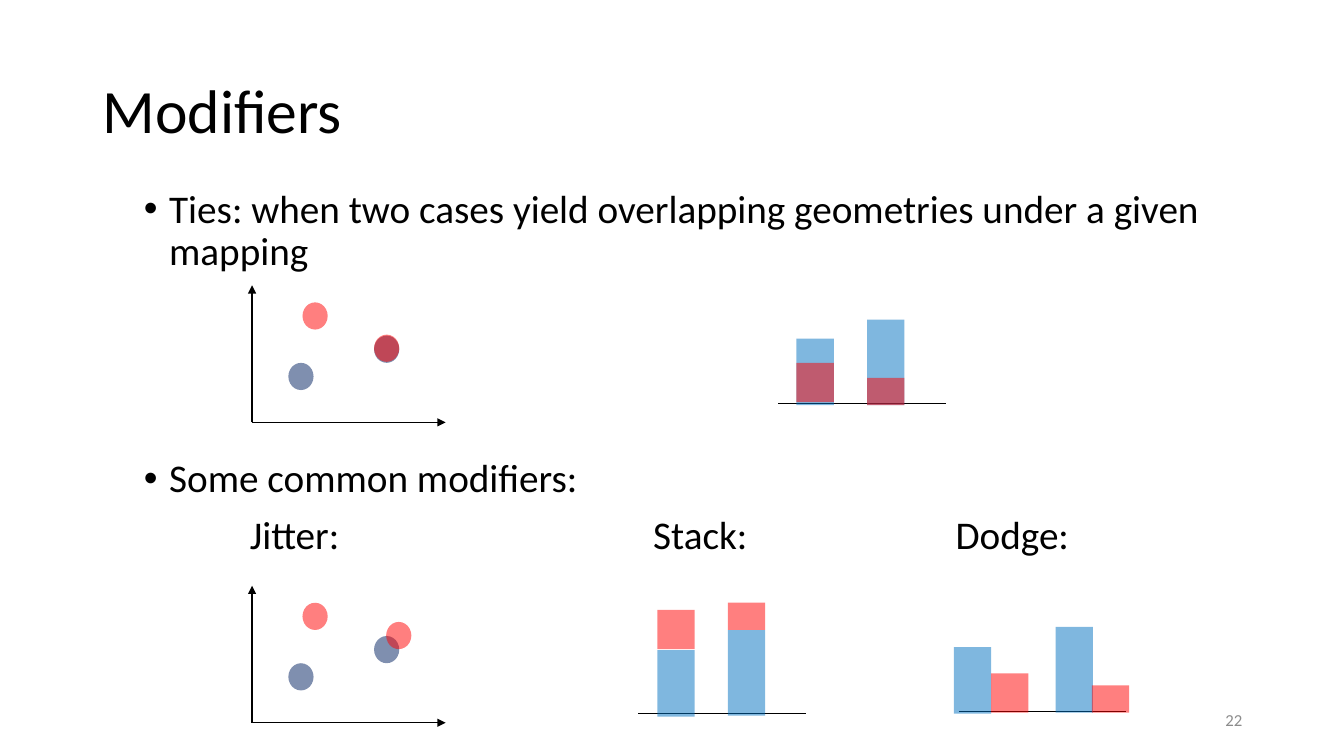
"""Build the "Modifiers" slide: ties between cases, then jitter, stack and dodge."""
from lxml.etree import SubElement
from pptx import Presentation
from pptx.dml.color import RGBColor
from pptx.enum.shapes import MSO_CONNECTOR as Connector, MSO_SHAPE as Shape
from pptx.enum.text import MSO_ANCHOR as Anchor, PP_ALIGN as Align
from pptx.oxml.ns import qn
from pptx.util import Inches, Pt

BLACK, GRAY, NAVY, BLUE, RED = "000000", "8C8C8C", "002060", "0070C0", "FF0000"


def paint(fill, color):
    fill.solid()
    fill.fore_color.rgb = RGBColor.from_string(color)


def write(frame, text, size=28, color=BLACK, align=Align.LEFT, before=0, bullet=False, tabs=()):
    frame.word_wrap = True
    paragraph = frame.paragraphs[0] if not frame.text else frame.add_paragraph()
    paragraph.alignment = align
    paragraph.line_spacing = 0.9
    if before:
        paragraph.space_before = Pt(before)
    properties = paragraph._p.get_or_add_pPr()
    if bullet:
        properties.set("marL", str(Inches(0.25)))
        properties.set("indent", str(Inches(-0.25)))
        SubElement(properties, qn("a:buFont"), typeface="Arial")
        SubElement(properties, qn("a:buChar"), char="•")
    if tabs:
        stops = SubElement(properties, qn("a:tabLst"))
        for stop in tabs:
            SubElement(stops, qn("a:tab"), pos=str(Inches(stop)), algn="l")
    run = paragraph.add_run()
    run.text = text
    run.font.name = "Calibri"
    run.font.size = Pt(size)
    paint(run.font.fill, color)


deck = Presentation()
deck.slide_width, deck.slide_height = Inches(13.33), Inches(7.5)
slide = deck.slides.add_slide(deck.slide_layouts[6])
shapes = slide.shapes

body = shapes.add_textbox(Inches(1.33), Inches(1.83), Inches(10.67), Inches(4.92)).text_frame
write(body, "Ties: when two cases yield overlapping geometries under a given mapping", bullet=True)
write(body, "Some common modifiers:", before=132, bullet=True)
write(body, "\tJitter:\tStack:\tDodge:", before=10, tabs=(1.05, 5.05, 8.05))

title = shapes.add_textbox(Inches(0.92), Inches(0.4), Inches(11.5), Inches(1.45)).text_frame
title.vertical_anchor = Anchor.MIDDLE
write(title, "Modifiers", size=44)

number = shapes.add_textbox(Inches(9.42), Inches(6.95), Inches(3), Inches(0.4)).text_frame
number.vertical_anchor = Anchor.MIDDLE
write(number, "22", size=12, color=GRAY, align=Align.RIGHT)

axes = []
marks = []

for floor, tied_red in ((4.19, (3.71, 3.32)), (7.17, (3.83, 6.17))):
    axes += [(2.5, floor, 4.42, floor, True), (2.5, floor, 2.5, floor - 1.36, True)]
    dots = [(2.86, floor - 0.59, NAVY), (3, floor - 1.19, RED),
            (3.71, floor - 0.86, NAVY), (*tied_red, RED)]
    marks += [(Shape.OVAL, left, top, 0.25, 0.27, color) for left, top, color in dots]

bar_charts = [
    (7.72, 4, (7.9, 3.36), (8.6, 3.17), (7.9, 3.6), (8.6, 3.75)),
    (6.33, 7.08, (6.52, 6.45), (7.22, 6.25), (6.52, 6.05), (7.22, 5.98)),
    (9.51, 7.06, (9.46, 6.42), (10.47, 6.22), (9.83, 6.68), (10.83, 6.8)),
]
bar_kinds = [(0.66, BLUE), (0.85, BLUE), (0.39, RED), (0.27, RED)]
for start, floor, *corners in bar_charts:
    axes.append((start, floor, start + 1.66, floor, False))
    for (left, top), (height, color) in zip(corners, bar_kinds):
        marks.append((Shape.RECTANGLE, left, top, 0.37, height, color))

for x1, y1, x2, y2, arrow in axes:
    axis = shapes.add_connector(Connector.STRAIGHT, Inches(x1), Inches(y1), Inches(x2), Inches(y2))
    paint(axis.line.fill, BLACK)
    axis.line.width = Pt(1)
    if arrow:
        SubElement(axis.line._get_or_add_ln(), qn("a:tailEnd"), type="triangle")
    SubElement(axis._element.spPr, qn("a:effectLst"))

for kind, left, top, width, height, color in marks:
    mark = shapes.add_shape(kind, Inches(left), Inches(top), Inches(width), Inches(height))
    mark.shadow.inherit = False
    paint(mark.fill, color)
    mark.line.fill.background()
    tint = mark._element.spPr.find(".//" + qn("a:srgbClr"))
    SubElement(tint, qn("a:alpha"), val="50000")

deck.save("out.pptx")
